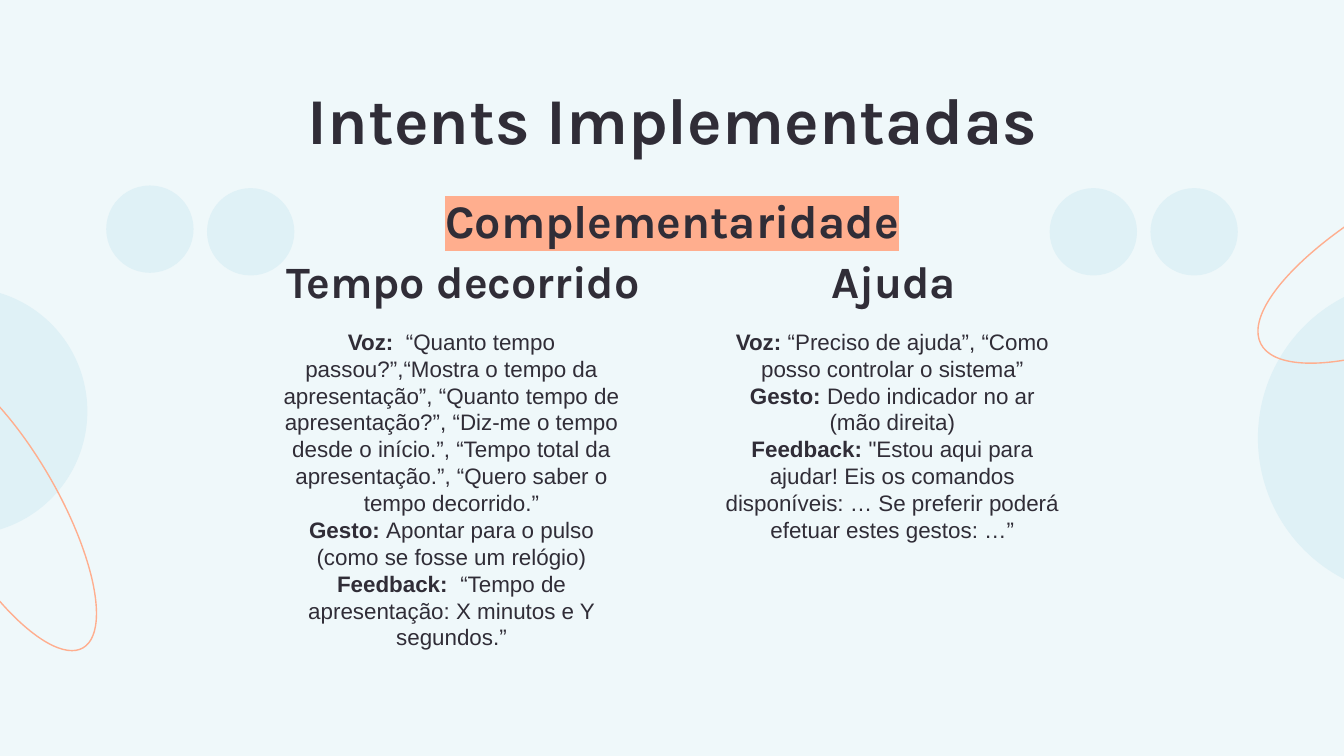
from lxml import etree
from pptx import Presentation
from pptx.dml.color import RGBColor
from pptx.enum.shapes import MSO_SHAPE
from pptx.enum.text import MSO_ANCHOR, MSO_AUTO_SIZE, PP_ALIGN
from pptx.oxml.ns import qn
from pptx.util import Inches, Pt

OVAL = MSO_SHAPE.OVAL
TOP, BOTTOM = MSO_ANCHOR.TOP, MSO_ANCHOR.BOTTOM
CENTER = PP_ALIGN.CENTER
NO_AUTOFIT = MSO_AUTO_SIZE.NONE

COLORS = {"background": "EFF8FA", "bubble": "DFF1F6",
          "accent": "FFAE8E", "text": "302D37"}
HEADING_FONT, BODY_FONT = "Karla", "Arial"
COMPARISON_LAYOUT = 4


class SlideStyle:
    """Holds the style and the current slide."""

    def __init__(self, slide):
        self.slide = slide
        fill = slide.background.fill
        fill.solid()
        fill.fore_color.rgb = self.color("background")

    def color(self, name):
        return RGBColor.from_string(COLORS[name])

    def oval(self, left, top, width, height):
        oval = self.slide.shapes.add_shape(
            OVAL, Inches(left), Inches(top), Inches(width), Inches(height))
        oval.shadow.inherit = False
        return oval

    def bubble(self, left, top, size):
        bubble = self.oval(left, top, size, size)
        bubble.fill.solid()
        bubble.fill.fore_color.rgb = self.color("bubble")
        bubble.line.fill.background()

    def ring(self, left, top, width, height, rotation):
        ring = self.oval(left, top, width, height)
        ring.rotation = rotation
        ring.fill.background()
        ring.line.color.rgb = self.color("accent")
        ring.line.width = Pt(0.75)

    def frame(self, shape, box, anchor):
        shape.left, shape.top, shape.width, shape.height = map(Inches, box)
        frame = shape.text_frame
        frame.word_wrap = True
        frame.auto_size = NO_AUTOFIT
        frame.vertical_anchor = anchor
        frame.margin_left = frame.margin_right = Inches(0.1)
        frame.margin_top = frame.margin_bottom = Inches(0.1)
        return frame

    def placeholder(self, index):
        holder = self.slide.placeholders[index]
        # Bring the text in front of the decoration
        holder.element.getparent().append(holder.element)
        return holder

    def format_run(self, run, font, size, bold):
        run.font.name = font
        run.font.size = Pt(size)
        run.font.bold = bold
        run.font.color.rgb = self.color("text")

    def heading(self, shape, text, box, size, anchor=TOP):
        frame = self.frame(shape, box, anchor)
        frame.text = text
        paragraph = frame.paragraphs[0]
        paragraph.alignment = CENTER
        paragraph.space_before = Pt(0)
        self.format_run(paragraph.runs[0], HEADING_FONT, size, True)
        return paragraph.runs[0]

    def highlighted_heading(self, text, box, size):
        textbox = self.slide.shapes.add_textbox(*map(Inches, box))
        run = self.heading(textbox, text, box, size)
        highlight = etree.Element(qn("a:highlight"))
        etree.SubElement(highlight, qn("a:srgbClr"), val=COLORS["accent"])
        run._r.get_or_add_rPr().find(qn("a:solidFill")).addnext(highlight)

    def details(self, shape, entries, box):
        frame = self.frame(shape, box, TOP)
        for number, (label, content) in enumerate(entries):
            paragraph = frame.add_paragraph() if number else frame.paragraphs[0]
            properties = paragraph._p.get_or_add_pPr()
            properties.set("marL", "0")
            properties.set("indent", "0")
            etree.SubElement(properties, qn("a:buNone"))
            paragraph.alignment = CENTER
            paragraph.space_before = Pt(0)
            for text, bold in ((label, True), (content, False)):
                run = paragraph.add_run()
                run.text = text
                self.format_run(run, BODY_FONT, 12, bold)


def main():
    deck = Presentation()
    deck.slide_width, deck.slide_height = Inches(10), Inches(5.625)
    page = SlideStyle(deck.slides.add_slide(deck.slide_layouts[COMPARISON_LAYOUT]))

    # Decoration at the edges
    page.bubble(9.36, 2.08, 2.36)
    page.bubble(-1.19, 2.14, 1.84)
    page.ring(9.21, 1.31, 3.14, 1.07, 333)
    page.ring(-1.22, 3.34, 2.45, 0.84, 60)

    # Pairs of small bubbles beside the subtitle
    for left, top in ((0.79, 1.38), (1.54, 1.4), (7.81, 1.4), (8.56, 1.4)):
        page.bubble(left, top, 0.65)

    # Title and subtitle
    page.heading(page.placeholder(0), "Intents Implementadas",
                 (0.79, 0.49, 8.43, 0.63), 35)
    page.highlighted_heading("Complementaridade", (2.84, 1.33, 4.32, 0.59), 25)

    # One column per intent
    elapsed_time = [
        ("Voz: ", " “Quanto tempo passou?”,“Mostra o tempo da apresentação”, "
                  "“Quanto tempo de apresentação?”, “Diz-me o tempo desde o início.”, "
                  "“Tempo total da apresentação.”, “Quero saber o tempo decorrido.”"),
        ("Gesto: ", "Apontar para o pulso (como se fosse um relógio)"),
        ("Feedback:  ", "“Tempo de apresentação: X minutos e Y segundos.”"),
    ]
    help_request = [
        ("Voz: ", "“Preciso de ajuda”, “Como posso controlar o sistema”"),
        ("Gesto:", " Dedo indicador no ar (mão direita)"),
        ("Feedback: ", "\"Estou aqui para ajudar! Eis os comandos disponíveis: … "
                       "Se preferir poderá efetuar estes gestos: …”"),
    ]
    columns = [
        (1, "Tempo decorrido", 1.96, 2.97, elapsed_time, 1.99),
        (3, "Ajuda", 5.28, 2.74, help_request, 5.27),
    ]
    for index, name, left, width, entries, details_left in columns:
        page.heading(page.placeholder(index), name,
                     (left, 1.78, width, 0.61), 24, BOTTOM)
        page.details(page.placeholder(index + 1), entries,
                     (details_left, 2.34, 2.74, 1.92))

    deck.save("out.pptx")


if __name__ == "__main__":
    main()
